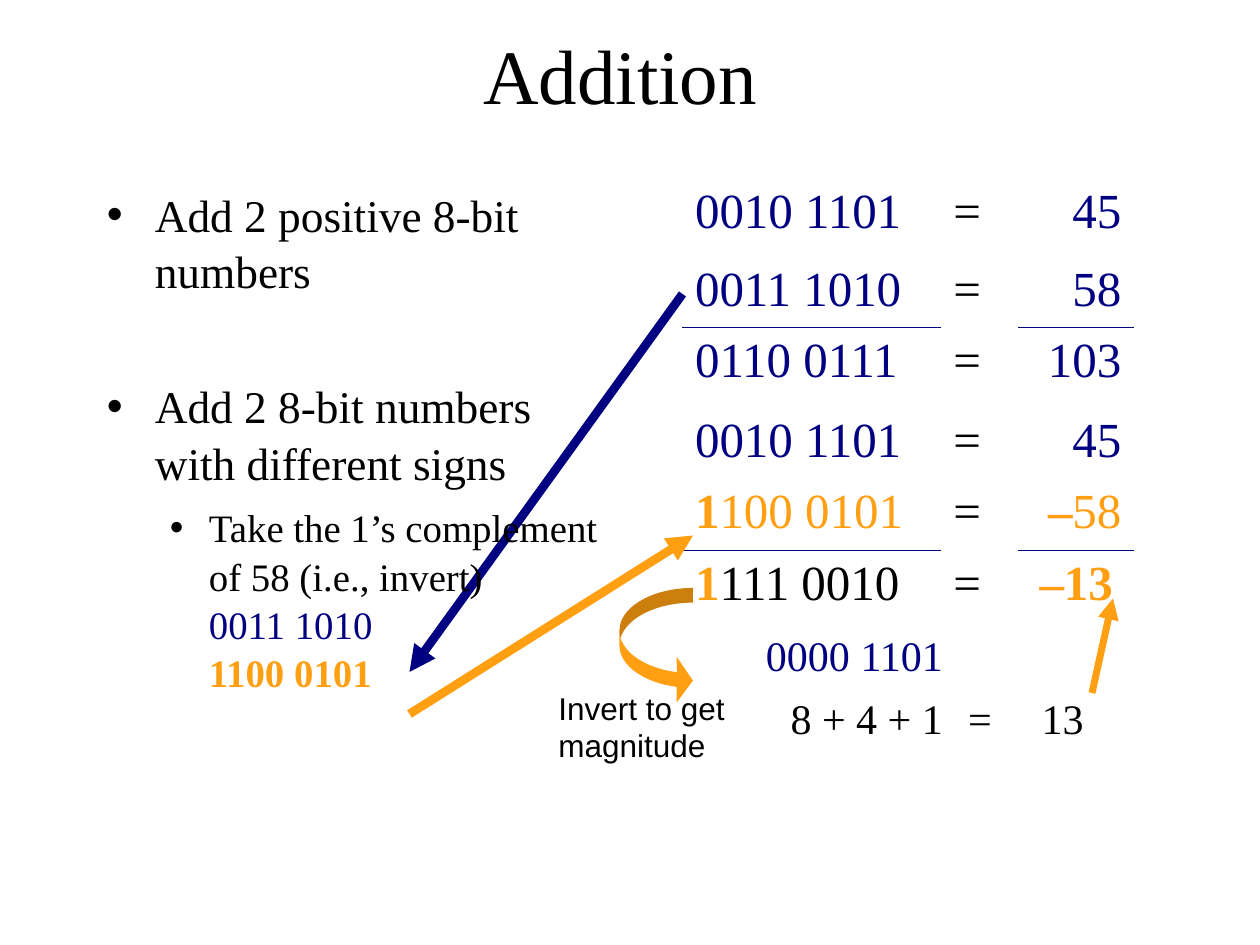
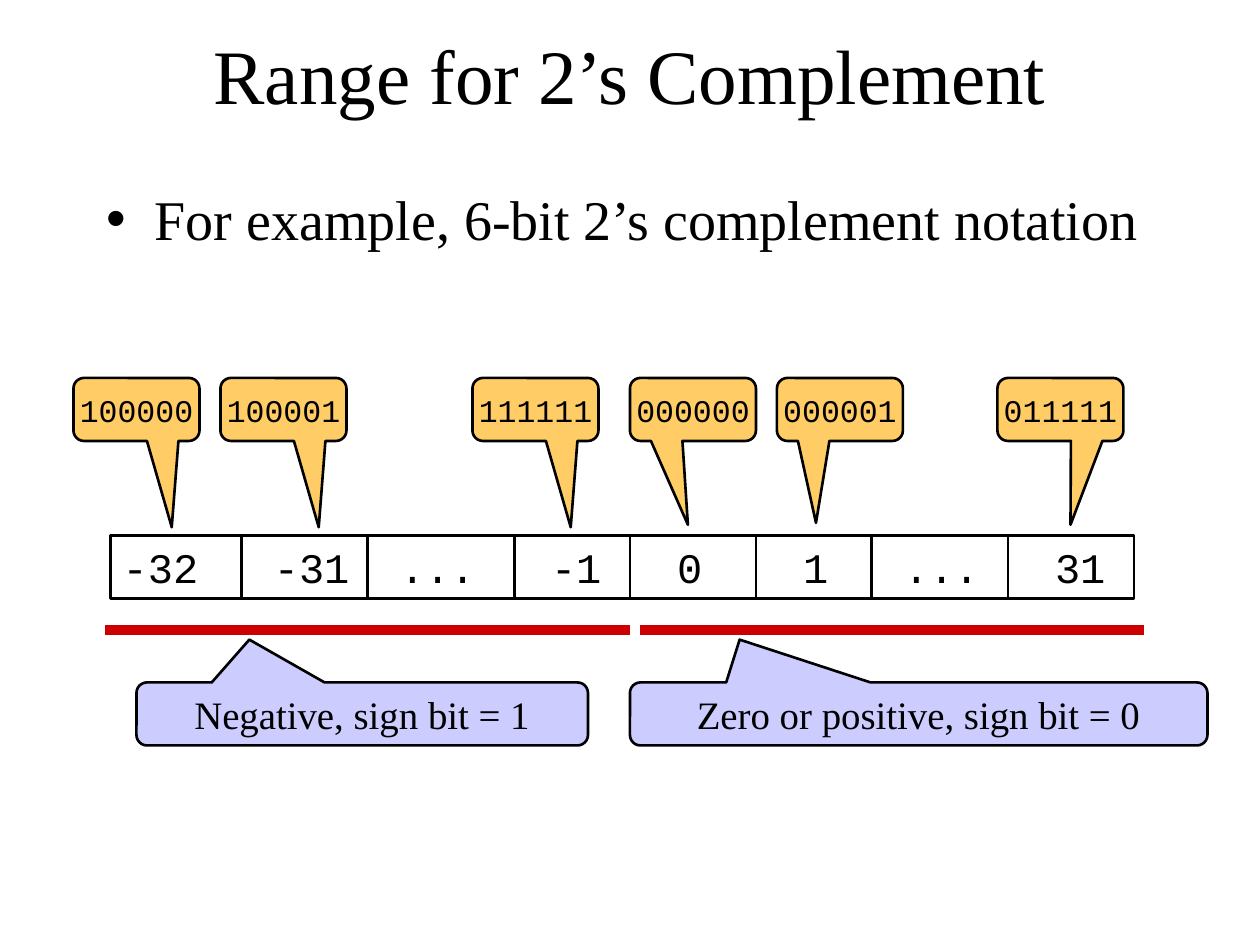
from dataclasses import dataclass

from lxml import etree
from pptx import Presentation
from pptx.dml.color import RGBColor
from pptx.enum.shapes import MSO_CONNECTOR, MSO_SHAPE
from pptx.enum.text import MSO_ANCHOR, PP_ALIGN
from pptx.oxml.ns import qn
from pptx.util import Emu, Inches, Pt

LEFT, CENTER, RIGHT = PP_ALIGN.LEFT, PP_ALIGN.CENTER, PP_ALIGN.RIGHT
TOP, MIDDLE = MSO_ANCHOR.TOP, MSO_ANCHOR.MIDDLE
STRAIGHT = MSO_CONNECTOR.STRAIGHT
RECT = MSO_SHAPE.RECTANGLE
CALLOUT = MSO_SHAPE.ROUNDED_RECTANGULAR_CALLOUT
CURVED_ARROW = MSO_SHAPE.CURVED_RIGHT_ARROW
PLAIN_TABLE = "{2D5ABB26-0587-4C30-8999-92F81FD0307C}"
COLUMNS, ROWS = 120, 90


@dataclass(frozen=True)
class Theme:
    """Colours, fonts and type sizes of the deck."""
    ink: str = "000000"
    navy: str = "000080"
    orange: str = "FF9F11"
    amber: str = "FFCC66"
    lilac: str = "CCCCFF"
    red: str = "CC0000"
    serif: str = "Times New Roman"
    sans: str = "Arial"
    mono: str = "Courier New"
    title: float = 44
    lead: float = 32
    sums: float = 28
    body: float = 25.9
    cells: float = 24
    sub: float = 22.2
    note: float = 18
    outline: float = 1.5
    rule: float = 0.75


@dataclass(frozen=True)
class Span:
    """A piece of text with its own colour and weight."""
    text: str
    color: str = Theme.ink
    bold: bool = False
    new_line: bool = False


def child(parent, tag, **attrs):
    """Append a DrawingML element."""
    return etree.SubElement(parent, qn(tag), attrs)


class Deck:
    """Holds the theme and the current slide and draws on its grid."""

    def __init__(self, theme):
        """Start a presentation of 10 by 7.5 inches."""
        self.theme = theme
        self.prs = Presentation()
        self.prs.slide_width, self.prs.slide_height = Inches(10), Inches(7.5)
        self.s = None

    def x(self, columns):
        """Turn columns into a length."""
        return Emu(round(self.prs.slide_width * columns / COLUMNS))

    def y(self, rows):
        """Turn rows into a length."""
        return Emu(round(self.prs.slide_height * rows / ROWS))

    def box(self, left, top, width, height):
        """Turn a grid area into four lengths."""
        return self.x(left), self.y(top), self.x(width), self.y(height)

    def slide(self, title):
        """Add a blank slide with its title."""
        self.s = self.prs.slides.add_slide(self.prs.slide_layouts[6])
        tf = self.text_box((9, 2, 102, 10), MIDDLE)
        self.fill_text(tf.paragraphs[0], [Span(title)], self.theme.title, align=CENTER)

    def fill_text(self, p, spans, size, font=None, align=LEFT, before=0):
        """Fill a paragraph with formatted spans."""
        p.alignment = align
        p.space_before = Pt(before)
        for span in spans:
            if span.new_line:
                p.add_line_break()
            r = p.add_run()
            r.text = span.text
            r.font.name = font or self.theme.serif
            r.font.size = Pt(size)
            r.font.bold = span.bold
            r.font.color.rgb = RGBColor.from_string(span.color)

    def text_box(self, area, anchor=TOP):
        """Add a wrapping text box and return its frame."""
        tf = self.s.shapes.add_textbox(*self.box(*area)).text_frame
        tf.word_wrap = True
        tf.vertical_anchor = anchor
        return tf

    def bullets(self, area, items, spacing=1.0):
        """Add bulleted paragraphs given as spans, size, level and space before."""
        tf = self.text_box(area)
        for i, (spans, size, level, before) in enumerate(items):
            p = tf.add_paragraph() if i else tf.paragraphs[0]
            self.fill_text(p, spans, size, before=before)
            p.line_spacing = spacing
            p.level = level
            margin, hang = ((0.38, 0.38), (0.81, 0.31))[level]
            pPr = p._p.get_or_add_pPr()
            pPr.set("marL", str(Inches(margin)))
            pPr.set("indent", str(-Inches(hang)))
            child(pPr, "a:buFont", typeface=self.theme.sans)
            child(pPr, "a:buChar", char="•")

    def line(self, start, end, color, width, arrow=False):
        """Add a straight line, with an arrowhead if asked."""
        sp = self.s.shapes.add_connector(STRAIGHT, self.x(start[0]), self.y(start[1]),
                                         self.x(end[0]), self.y(end[1]))
        sp.line.color.rgb = RGBColor.from_string(color)
        sp.line.width = Pt(width)
        if arrow:
            child(sp.line._get_or_add_ln(), "a:tailEnd", type="triangle")
        child(sp._element.spPr, "a:effectLst")

    def shape(self, kind, area, fill=None, outlined=True, adjust=()):
        """Add a preset shape."""
        sp = self.s.shapes.add_shape(kind, *self.box(*area))
        sp.shadow.inherit = False
        for i, value in enumerate(adjust):
            sp.adjustments[i] = value
        if fill:
            sp.fill.solid()
            sp.fill.fore_color.rgb = RGBColor.from_string(fill)
        else:
            sp.fill.background()
        if outlined:
            sp.line.color.rgb = RGBColor.from_string(self.theme.ink)
            sp.line.width = Pt(self.theme.outline)
        else:
            sp.line.fill.background()
        return sp

    def callout(self, area, text, fill, tip, size, font):
        """Add a centred callout pointing at its tip."""
        sp = self.shape(CALLOUT, area, fill, adjust=tip)
        tf = sp.text_frame
        tf.margin_left = tf.margin_right = tf.margin_top = tf.margin_bottom = 0
        tf.vertical_anchor = MIDDLE
        self.fill_text(tf.paragraphs[0], [Span(text)], size, font, CENTER)

    def tabbed_row(self, area, words, stops, size):
        """Add an outlined row of words set on tab stops in inches."""
        tf = self.shape(RECT, area).text_frame
        tf.word_wrap = True
        tf.vertical_anchor = TOP
        p = tf.paragraphs[0]
        self.fill_text(p, [Span("\t".join(words))], size, self.theme.mono, before=6)
        tabs = child(p._p.get_or_add_pPr(), "a:tabLst")
        for stop in stops:
            child(tabs, "a:tab", pos=str(Inches(stop)), algn="l")

    def table(self, corner, widths, heights, rows, aligns, size):
        """Add an unstyled table whose cells are lists of spans."""
        area = self.box(*corner, sum(widths), sum(heights))
        table = self.s.shapes.add_table(len(rows), len(widths), *area).table
        table.first_row = table.horz_banding = False
        table._tbl.tblPr.find(qn("a:tableStyleId")).text = PLAIN_TABLE
        for column, width in zip(table.columns, widths):
            column.width = self.x(width)
        for i, row in enumerate(rows):
            table.rows[i].height = self.y(heights[i])
            for j, spans in enumerate(row):
                cell = table.cell(i, j)
                cell.fill.background()
                self.fill_text(cell.text_frame.paragraphs[0], spans, size, align=aligns[i][j])
        return table

    def sum_table(self, top, heights, rows):
        """Add a binary sum with rules above the result."""
        equals = [Span("=")]
        rows = [(bits, equals, value) for bits, value in rows]
        aligns = [(LEFT, LEFT, RIGHT)] * 2
        aligns.append((LEFT, LEFT, CENTER if rows[2][2][0].bold else RIGHT))
        table = self.table((65, top), (24.6, 7.4, 11), heights, rows, aligns, self.theme.sums)
        for row, tag in ((1, "a:lnB"), (2, "a:lnT")):
            for column in (0, 2):
                self.border(table.cell(row, column), tag)

    def border(self, cell, tag):
        """Rule one side of a cell."""
        tcPr = cell._tc.get_or_add_tcPr()
        ln = child(tcPr, tag, w=str(Pt(self.theme.rule)))
        child(child(ln, "a:solidFill"), "a:srgbClr", val=self.theme.navy)
        tcPr.insert(0, ln)


def addition(deck):
    """Build the slide on adding binary numbers."""
    t = deck.theme
    deck.slide("Addition ")
    deck.line((65, 28), (39, 64), t.navy, 5, arrow=True)
    deck.bullets((9, 17, 50, 54), [
        ([Span("Add 2 positive 8-bit numbers")], t.body, 0, 2),
        ([Span("Add 2 8-bit numbers with different signs")], t.body, 0, 45),
        ([Span("Take the 1’s complement of 58 (i.e., invert)"),
          Span("0011 1010", t.navy, new_line=True),
          Span("1100 0101", t.orange, True, new_line=True)], t.sub, 1, 7),
    ], spacing=1.04)

    def navy(text):
        """Give one navy span."""
        return [Span(text, t.navy)]

    def signed(sign, rest, color=t.orange):
        """Give a bold orange sign and the rest."""
        return [Span(sign, t.orange, True), Span(rest, color)]

    deck.sum_table(38.8, (6.8, 6.8, 6.8), [
        (navy("0010 1101"), navy("45")),
        (signed("1", "100 0101"), signed("–", "58")),
        (signed("1", "111 0010", t.ink), [Span("–13", t.orange, True)]),
    ])
    deck.sum_table(17, (7.4, 6.8, 6.8), [
        (navy("0010 1101"), navy("45")),
        (navy("0011 1010"), navy("58")),
        (navy("0110 0111"), navy("103")),
    ])
    deck.table((66, 59.8), (25, 7, 11), (6, 6), [
        (navy("0000 1101"), [], []),
        ([Span("8 + 4 + 1")], [Span("=")], [Span("13")]),
    ], [(RIGHT, LEFT, LEFT)] * 2, t.cells)
    deck.line((39, 68), (66, 51), t.orange, 5, arrow=True)
    deck.shape(CURVED_ARROW, (59, 56, 7, 11), t.orange, outlined=False,
               adjust=(0.2, 0.62, 0.22))
    tf = deck.text_box((52, 65, 19, 8.4))
    deck.fill_text(tf.paragraphs[0], [Span("Invert to get magnitude")], t.note, t.sans)
    deck.line((104, 66), (106, 57), t.orange, 4, arrow=True)


def complement_range(deck):
    """Build the slide on the range of the notation."""
    t = deck.theme
    deck.slide("Range for 2’s Complement")
    deck.bullets((9, 17, 102, 54), [
        ([Span("For example, 6-bit 2’s complement notation")], t.lead, 0, 3)])
    words = ("-32", "-31", "...", "-1", "0", "1", "...", "31")
    letter = 0.2
    stops = [letter * n for n in (6, 11, 17, 22, 27, 31, 37)]
    deck.tabbed_row((10.5, 51, 97.5, 6), words, stops, t.cells)
    for column in (23, 35, 49, 60, 72, 83, 96):
        deck.line((column, 51.1), (column, 57.1), t.ink, t.outline)
    for bits, left, tip in (
        ("000000", 60, (-0.04, 1.83)),
        ("111111", 45, (0.28, 1.87)),
        ("000001", 74, (-0.19, 1.8)),
        ("011111", 95, (0.08, 1.83)),
        ("100000", 7, (0.28, 1.87)),
        ("100001", 21, (0.28, 1.87)),
    ):
        deck.callout((left, 36, 12, 6), bits, t.amber, tip, t.note, t.mono)
    for start, end, left, width, tip, text in (
        (10, 60, 13, 43, -0.25, "Negative, sign bit = 1"),
        (61, 109, 60, 55, -0.31, "Zero or positive, sign bit = 0"),
    ):
        deck.line((start, 60), (end, 60), t.red, 6)
        deck.callout((left, 65, width, 6), text, t.lilac, (tip, -1.18), t.sub, t.serif)


def main():
    """Build and save the deck."""
    deck = Deck(Theme())
    addition(deck)
    complement_range(deck)
    deck.prs.save("out.pptx")


if __name__ == "__main__":
    main()
